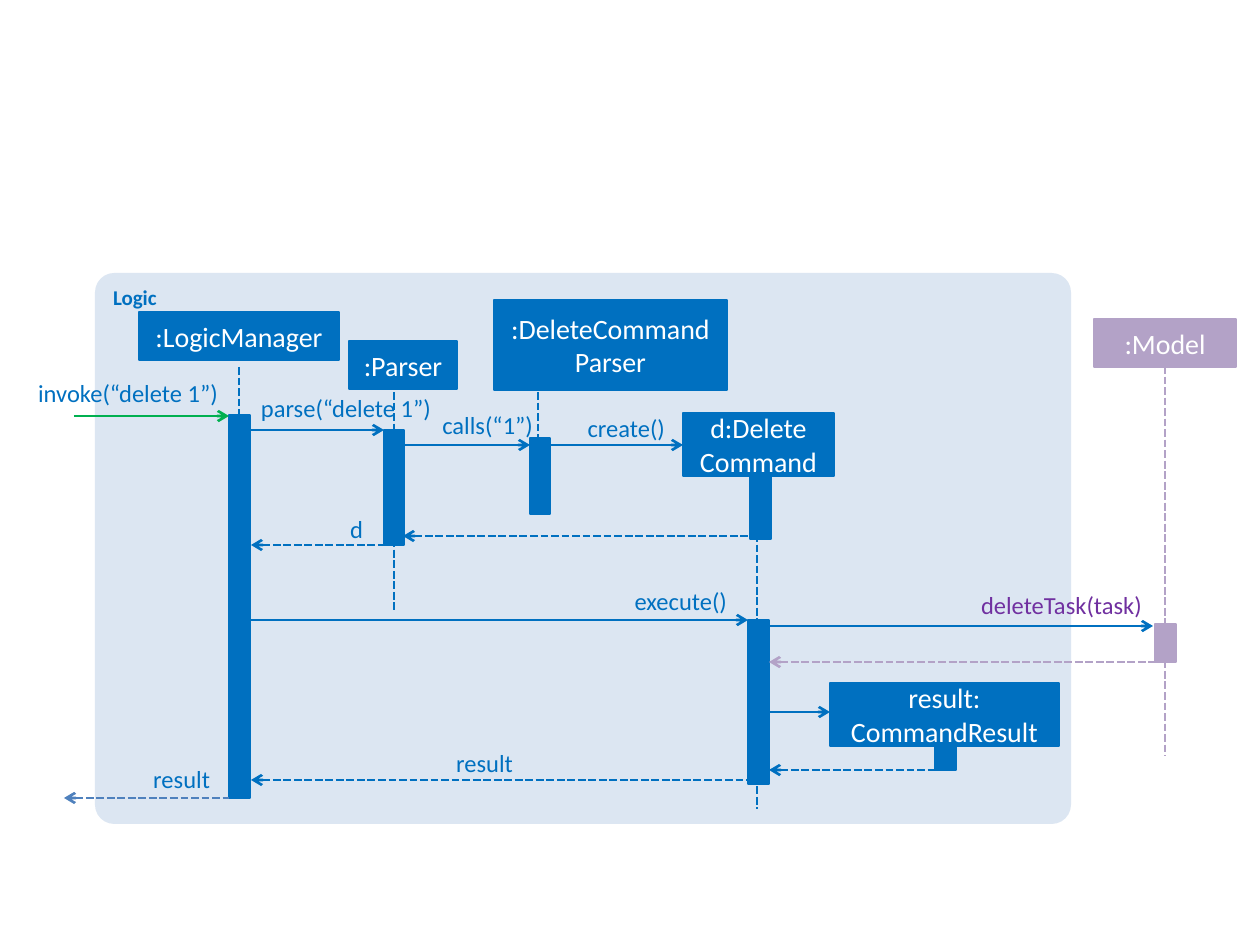
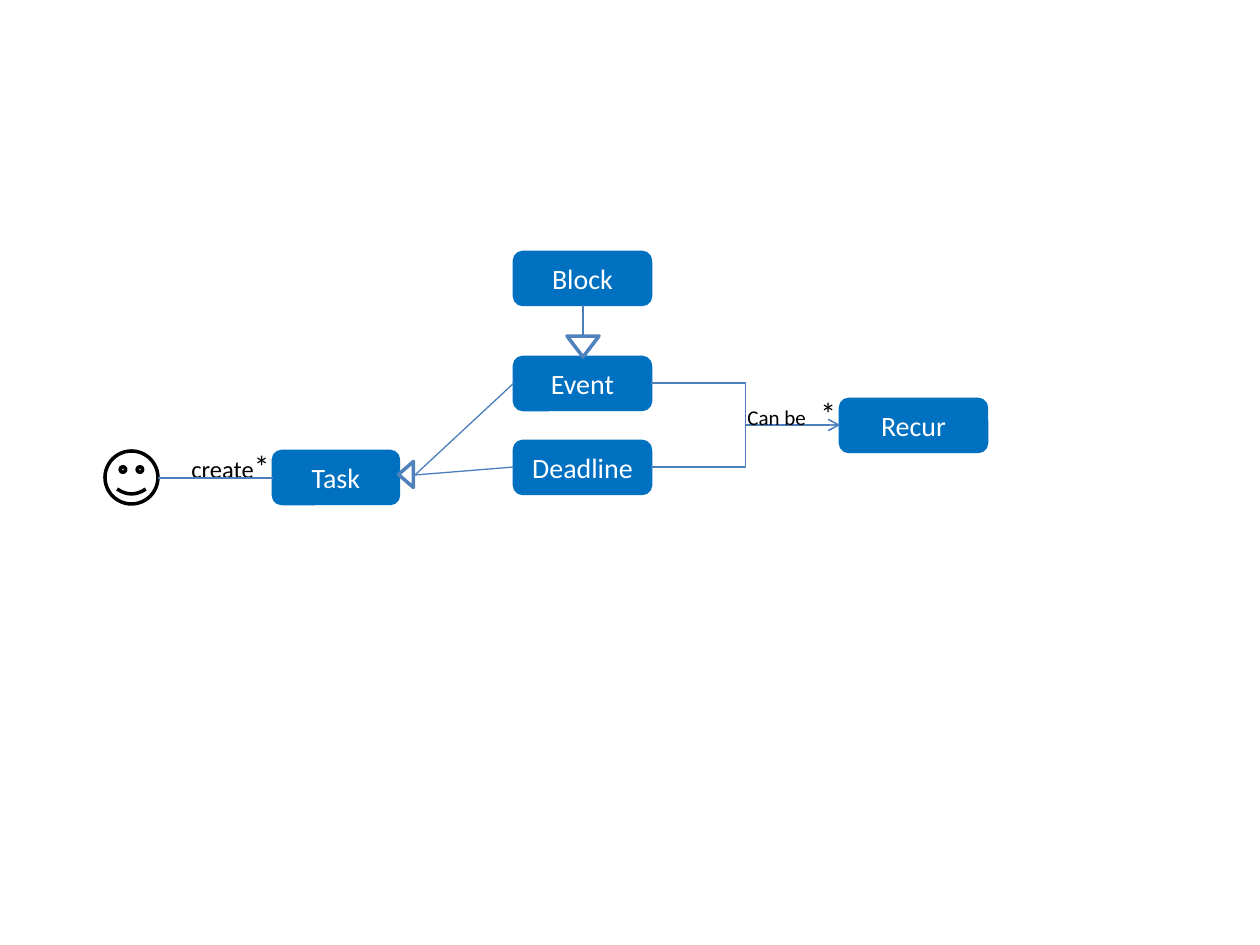
"""Builds a sequence diagram of a delete command and a class diagram of tasks."""
from lxml.etree import SubElement
from pptx import Presentation
from pptx.dml.color import RGBColor
from pptx.enum.dml import MSO_LINE
from pptx.enum.shapes import MSO_CONNECTOR, MSO_SHAPE
from pptx.enum.text import MSO_ANCHOR, MSO_AUTO_SIZE, PP_ALIGN
from pptx.oxml.ns import qn
from pptx.util import Pt

SCALE = 914400 / 126
FONT = "Calibri"
COLORS = {
    "blue": "0070C0", "pale": "DCE6F2", "steel": "4F81BD", "link": "4B7EBC",
    "lilac": "B3A2C7", "purple": "7030A0", "green": "00B050",
    "white": "FFFFFF", "black": "000000",
}

PANEL = (95, 273, 976, 551)
HEADS = [
    (":LogicManager", (139, 312, 200, 48), "blue"),
    (":Parser", (349, 341, 108, 48), "blue"),
    ("d:Delete\nCommand", (683, 413, 151, 63), "blue"),
    (":Model", (1094, 319, 142, 48), "lilac"),
    ("result:\nCommandResult", (830, 683, 229, 63), "blue"),
    (":DeleteCommandParser", (494, 300, 233, 90), "blue"),
]
LIVES = [
    (239, 367, 724, "blue"), (394, 392, 610, "blue"), (757, 471, 809, "blue"),
    (1165, 366, 756, "lilac"), (538, 392, 514, "blue"),
]
BARS = [
    ((229, 415, 21, 383), "blue"), ((384, 430, 20, 115), "blue"),
    ((750, 476, 21, 63), "blue"), ((748, 620, 21, 164), "blue"),
    ((1155, 624, 21, 38), "lilac"), ((935, 746, 21, 24), "blue"),
    ((530, 438, 20, 76), "blue"),
]
CALLS = [
    (74, 229, 416, "green"), (251, 384, 430, "blue"), (549, 683, 445, "blue"),
    (399, 530, 445, "blue"), (251, 748, 620, "blue"), (769, 1153, 626, "blue"),
    (769, 830, 712, "blue"),
]
REPLIES = [
    (403, 750, 536, "blue"), (251, 394, 545, "blue"), (64, 229, 798, "steel"),
    (769, 1166, 662, "lilac"), (251, 753, 780, "blue"), (769, 941, 770, "blue"),
]
LABELS = [
    ("invoke(“delete 1”)", 21, 378, 197, "blue"),
    ("execute()", 609, 586, 118, "blue"),
    ("deleteTask(task)", 945, 590, 197, "purple"),
    ("create()", 577, 413, 88, "blue"),
    ("parse(“delete 1”)", 234, 393, 197, "blue"),
    ("result", 427, 748, 86, "blue"),
    ("result", 105, 764, 105, "blue"),
    ("d", 333, 514, 30, "blue"),
    ("calls(“1”)", 441, 410, 92, "blue"),
]

SIDE = 53
CLASSES = [
    ("Task", 273, 451, 126), ("Event", 514, 357, 137),
    ("Deadline", 514, 441, 137), ("Block", 514, 252, 137),
    ("Recur", 840, 399, 147),
]
FACE = (105, 451, SIDE, SIDE)
TIPS = [((393, 467, 26, 15), 270), ((567, 336, 32, 21), 180)]
LINKS = [
    ((273, 478), (158, 478)), ((583, 305), (583, 336)),
    ((415, 475), (514, 467)), ((514, 383), (415, 475)),
]
BENDS = [((651, 383), (840, 425)), ((651, 467), (840, 425))]
NOTES = [
    ((179, 441, 210, 50), [("create", 14), ("*", 18)], None),
    ((735, 388, 116, 50), [("Can be\t", 12), ("*", 18)], 73),
]


def px(*sizes):
    return [round(size * SCALE) for size in sizes]


def rgb(name):
    return RGBColor.from_string(COLORS[name])


def shape(slide, kind, rect, fill, line=None, width=1.5):
    item = slide.shapes.add_shape(kind, *px(*rect))
    item.shadow.inherit = False
    item.fill.solid()
    item.fill.fore_color.rgb = rgb(fill)
    if line:
        item.line.color.rgb = rgb(line)
        item.line.width = Pt(width)
    else:
        item.line.fill.background()
    return item


def put(para, text, size, color, bold=False):
    for pos, part in enumerate(text.split("\n")):
        if pos:
            para.add_line_break()
        run = para.add_run()
        run.text = part
        run.font.name = FONT
        run.font.size = Pt(size)
        run.font.bold = bold
        run.font.color.rgb = rgb(color)


def box(slide, kind, rect, text, color="blue"):
    frame = shape(slide, kind, rect, color, color).text_frame
    frame.word_wrap = True
    frame.vertical_anchor = MSO_ANCHOR.MIDDLE
    para = frame.paragraphs[0]
    para.alignment = PP_ALIGN.CENTER
    put(para, text, 16, "white")


def note(slide, rect):
    item = slide.shapes.add_textbox(*px(*rect))
    item.text_frame.word_wrap = True
    item.text_frame.auto_size = MSO_AUTO_SIZE.SHAPE_TO_FIT_TEXT
    return item


def wire(slide, start, end, color, width=1.5, dash=False, tip=None,
         kind=MSO_CONNECTOR.STRAIGHT):
    item = slide.shapes.add_connector(kind, *px(*start, *end))
    item.line.color.rgb = rgb(color)
    item.line.width = Pt(width)
    if dash:
        item.line.dash_style = MSO_LINE.SQUARE_DOT
    props = item.element.spPr
    if tip:
        SubElement(props.find(qn("a:ln")), qn(tip), type="arrow")
    SubElement(props, qn("a:effectLst"))


def flow(slide):
    panel = shape(slide, MSO_SHAPE.ROUNDED_RECTANGLE, PANEL, "pale")
    panel.adjustments[0] = 0.035
    frame = panel.text_frame
    frame.vertical_anchor = MSO_ANCHOR.TOP
    frame.paragraphs[0].alignment = PP_ALIGN.LEFT
    put(frame.paragraphs[0], "Logic", 12, "blue", True)
    for text, rect, color in HEADS:
        box(slide, MSO_SHAPE.RECTANGLE, rect, text, color)
    for left, top, end, color in LIVES:
        wire(slide, (left, top), (left, end), color, dash=True)
    for rect, color in BARS:
        shape(slide, MSO_SHAPE.RECTANGLE, rect, color, color, 0.75)
    for rows, dash, tip in ((CALLS, False, "a:tailEnd"), (REPLIES, True, "a:headEnd")):
        for left, right, top, color in rows:
            wire(slide, (left, top), (right, top), color, dash=dash, tip=tip)
    for text, left, top, width, color in LABELS:
        frame = note(slide, (left, top, width, 30)).text_frame
        frame.margin_left = frame.margin_right = 0
        frame.margin_top = frame.margin_bottom = 0
        frame.paragraphs[0].alignment = PP_ALIGN.RIGHT
        put(frame.paragraphs[0], text, 14, color)


def model(slide):
    for text, left, top, width in CLASSES:
        box(slide, MSO_SHAPE.ROUNDED_RECTANGLE, (left, top, width, SIDE), text)
    shape(slide, MSO_SHAPE.SMILEY_FACE, FACE, "white", "black", 2)
    for start, end in BENDS:
        wire(slide, start, end, "link", 0.75, tip="a:tailEnd",
             kind=MSO_CONNECTOR.ELBOW)
    for rect, runs, stop in NOTES:
        item = note(slide, rect)
        for text, size in runs:
            put(item.text_frame.paragraphs[0], text, size, "black")
        if stop:
            props = item.element.find(".//" + qn("a:p")).get_or_add_pPr()
            tabs = SubElement(props, qn("a:tabLst"))
            SubElement(tabs, qn("a:tab"), pos=str(px(stop)[0]), algn="l")
    for rect, turn in TIPS:
        tip = shape(slide, MSO_SHAPE.ISOSCELES_TRIANGLE, rect, "white", "steel", 2)
        tip.rotation = turn
    for start, end in LINKS:
        wire(slide, start, end, "link", 0.75)


deck = Presentation()
deck.slide_width, deck.slide_height = px(1260, 945)
for draw in (flow, model):
    draw(deck.slides.add_slide(deck.slide_layouts[6]))
deck.save("out.pptx")
